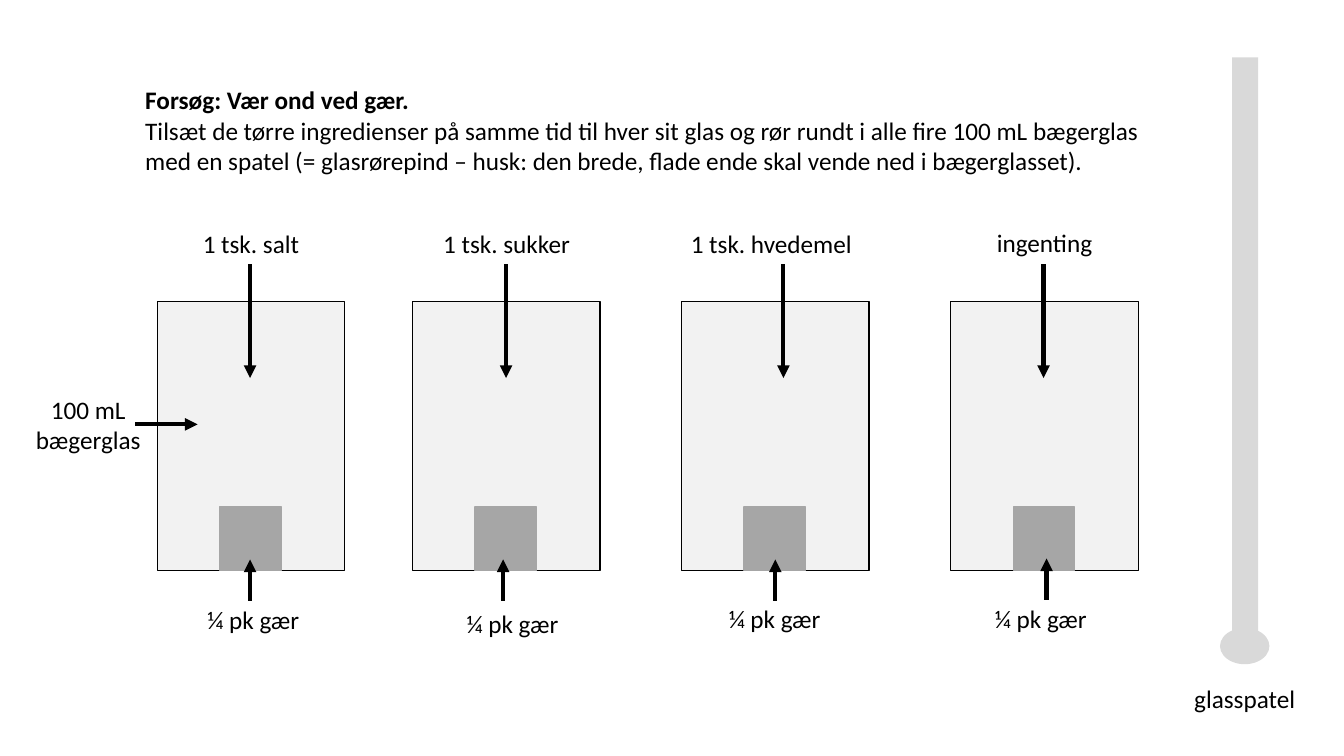
from lxml import etree
from pptx import Presentation
from pptx.dml.color import RGBColor
from pptx.enum.shapes import MSO_CONNECTOR, MSO_SHAPE
from pptx.enum.text import MSO_ANCHOR, MSO_AUTO_SIZE, PP_ALIGN
from pptx.oxml.ns import qn
from pptx.util import Inches, Pt

RECTANGLE, OVAL = MSO_SHAPE.RECTANGLE, MSO_SHAPE.OVAL
STRAIGHT = MSO_CONNECTOR.STRAIGHT
LEFT, CENTER = PP_ALIGN.LEFT, PP_ALIGN.CENTER
TOP, GROW = MSO_ANCHOR.TOP, MSO_AUTO_SIZE.SHAPE_TO_FIT_TEXT

COLORS = {
    "ink": "000000",
    "glass": "F2F2F2",
    "yeast": "A6A6A6",
    "spatula": "D9D9D9",
}

HEADING = "Forsøg: Vær ond ved gær."
INSTRUCTION = (
    "Tilsæt de tørre ingredienser på samme tid til hver sit glas og rør rundt "
    "i alle fire 100 mL bægerglas med en spatel (= glasrørepind – husk: den "
    "brede, flade ende skal vende ned i bægerglasset)."
)

BEAKER_LEFTS = (1.56, 4.09, 6.76, 9.43)
INGREDIENTS = (
    ("1 tsk. salt", (1.56, 2.22, 1.86, 0.4), 2.48),
    ("1 tsk. sukker", (4.21, 2.22, 1.63, 0.4), 5.02),
    ("1 tsk. hvedemel", (6.72, 2.22, 1.86, 0.4), 7.77),
    ("ingenting", (9.43, 2.21, 1.86, 0.4), 10.35),
)
YEAST_NOTES = (
    (1.96, 5.95, 2.48, 5.96),
    (4.53, 5.99, 4.99, 5.96),
    (7.13, 5.94, 7.69, 5.96),
    (9.77, 5.94, 10.38, 5.95),
)


class SlideBuilder:
    """Draws styled elements on the current slide."""

    font_name = "Calibri"
    font_size = Pt(18)

    def __init__(self, page):
        self.page = page

    def color(self, name):
        return RGBColor.from_string(COLORS[name])

    def fill_text(self, box, texts, align, bold_first=False):
        frame = box.text_frame
        frame.word_wrap = True
        frame.auto_size = GROW
        frame.vertical_anchor = TOP
        for index, text in enumerate(texts):
            para = frame.add_paragraph() if index else frame.paragraphs[0]
            para.alignment = align
            span = para.add_run()
            span.text = text
            span.font.name = self.font_name
            span.font.size = self.font_size
            span.font.bold = bold_first and index == 0
            span.font.color.rgb = self.color("ink")

    def title(self, texts, place):
        box = self.page.shapes.title
        box.left, box.top, box.width, box.height = map(Inches, place)
        self.fill_text(box, texts, LEFT, bold_first=True)

    def label(self, text, place, align=CENTER):
        box = self.page.shapes.add_textbox(*map(Inches, place))
        self.fill_text(box, [text], align)

    def shape(self, kind, place, fill, line=None):
        shape = self.page.shapes.add_shape(kind, *map(Inches, place))
        shape.shadow.inherit = False
        shape.fill.solid()
        shape.fill.fore_color.rgb = self.color(fill)
        if line:
            shape.line.color.rgb = self.color(line)
            shape.line.width = Pt(1)
        else:
            shape.line.fill.background()

    def arrow(self, start, end):
        arrow = self.page.shapes.add_connector(STRAIGHT, *map(Inches, start + end))
        arrow.line.color.rgb = self.color("ink")
        arrow.line.width = Pt(3)
        properties = arrow.element.spPr
        etree.SubElement(properties.find(qn("a:ln")), qn("a:tailEnd"), type="triangle")
        etree.SubElement(properties, qn("a:effectLst"))


def main():
    deck = Presentation()
    deck.slide_width, deck.slide_height = Inches(13.33), Inches(7.5)
    builder = SlideBuilder(deck.slides.add_slide(deck.slide_layouts[5]))
    builder.title([HEADING, INSTRUCTION], (1.34, 0.79, 10.16, 1.01))

    for left in BEAKER_LEFTS:
        builder.shape(RECTANGLE, (left, 2.99, 1.86, 2.67), "glass", "ink")
        builder.shape(RECTANGLE, (left + 0.62, 5.03, 0.61, 0.63), "yeast", "yeast")

    for text, place, arrow_x in INGREDIENTS:
        builder.label(text, place)
        builder.arrow((arrow_x, 2.62), (arrow_x, 3.75))

    for left, top, arrow_x, arrow_y in YEAST_NOTES:
        builder.label("¼ pk gær", (left, top, 1.2, 0.4), LEFT)
        builder.arrow((arrow_x, arrow_y), (arrow_x, arrow_y - 0.41))

    builder.shape(RECTANGLE, (12.22, 0.57, 0.26, 5.74), "spatula")
    builder.shape(OVAL, (12.1, 6.23, 0.49, 0.36), "spatula")
    builder.label("glasspatel", (11.67, 6.73, 1.35, 0.4))

    builder.label("100 mL bægerglas", (0.23, 3.86, 1.29, 0.71))
    builder.arrow((1.34, 4.21), (1.96, 4.21))

    deck.save("out.pptx")


if __name__ == "__main__":
    main()
